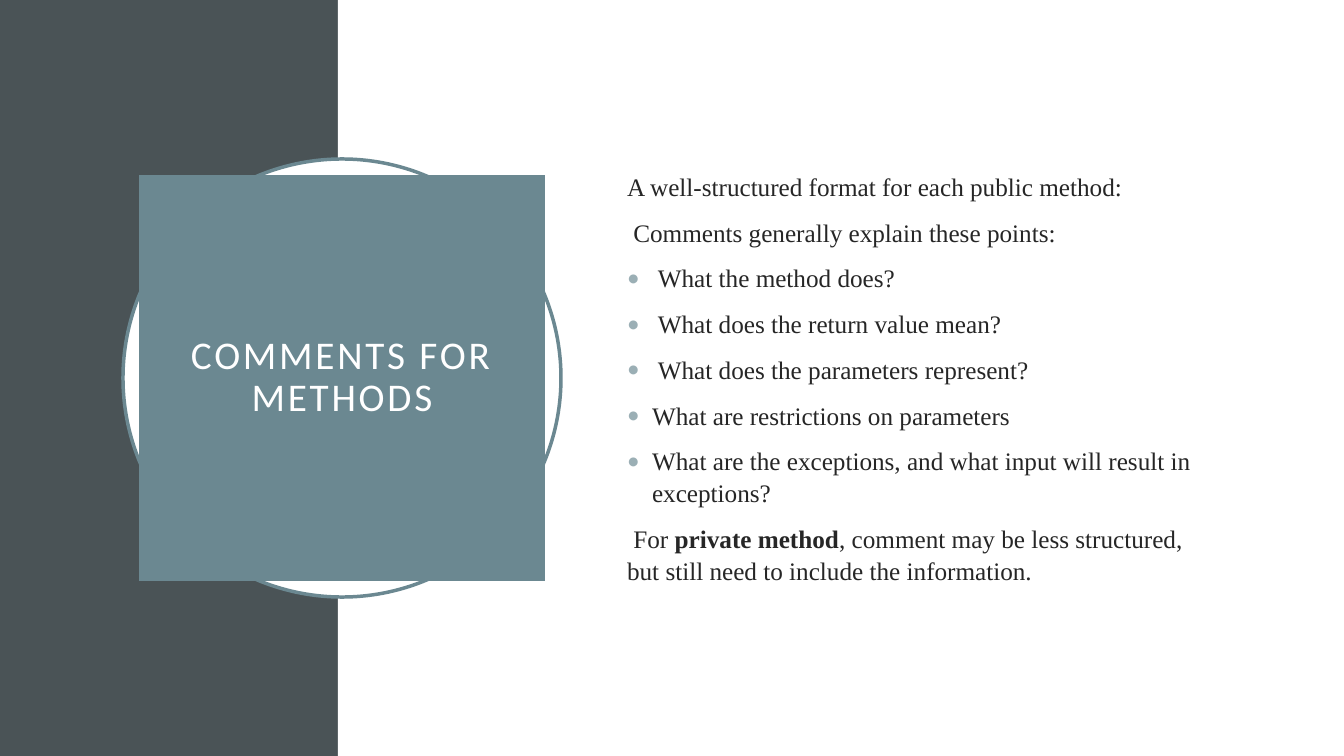
from lxml import etree
from pptx import Presentation
from pptx.dml.color import RGBColor
from pptx.enum import shapes, text
from pptx.oxml import ns
from pptx.util import Emu, Pt

SLATE = RGBColor(0x4A, 0x53, 0x56)
TEAL = RGBColor(0x6B, 0x88, 0x91)
PALE_TEAL = RGBColor(0x9B, 0xAF, 0xB5)
INK = RGBColor(0x26, 0x26, 0x26)
WHITE = RGBColor(0xFF, 0xFF, 0xFF)

WIDTH, HEIGHT, PANEL = 1344, 756, 338

# Each entry: (bulleted, [(words, bold), ...])
POINTS = [
    (False, [("A well-structured format for each public method:", False)]),
    (False, [(" Comments generally explain these points: ", False)]),
    (True, [(" What the method does?", False)]),
    (True, [(" What does the return value mean? ", False)]),
    (True, [(" What does the parameters represent? ", False)]),
    (True, [("What are restrictions on parameters", False)]),
    (True, [("What are the exceptions, and what input will result in exceptions? ", False)]),
    (False, [(" For ", False), ("private method", True),
             (", comment may be less structured, but still need to include the information.", False)]),
]


def px(length):
    return Emu(round(length * 914400 / 100.8))


class SlideBuilder:
    title_font, body_font = "Calibri", "Times New Roman"

    def __init__(self, page):
        self.page = page

    def shape(self, kind, left, top, width, height, fill, line=None):
        shape = self.page.shapes.add_shape(kind, px(left), px(top), px(width), px(height))
        shape.shadow.inherit = False
        shape.fill.solid()
        shape.fill.fore_color.rgb = fill
        if line is None:
            shape.line.fill.background()
        else:
            shape.line.color.rgb = line
            shape.line.width = Pt(2.5)

    def place(self, box, left, top, width, height):
        """Position a placeholder and bring it to the front."""
        box.left, box.top, box.width, box.height = map(px, (left, top, width, height))
        self.page.shapes.element.append(box.element)
        frame = box.text_frame
        frame.word_wrap = True
        frame.auto_size = text.MSO_AUTO_SIZE.NONE
        frame.vertical_anchor = text.MSO_ANCHOR.MIDDLE
        return frame

    def span(self, para, words, font, size, color, bold=False):
        span = para.add_run()
        span.text = words
        span.font.name, span.font.size, span.font.bold = font, Pt(size), bold
        span.font.color.rgb = color
        return span

    def title(self, words, left, top, width, height):
        box = self.page.shapes.title
        frame = self.place(box, left, top, width, height)
        box.fill.solid()
        box.fill.fore_color.rgb = TEAL
        frame.margin_left = frame.margin_right = px(20)
        frame.margin_top = frame.margin_bottom = px(20)
        para = frame.paragraphs[0]
        para.alignment = text.PP_ALIGN.CENTER
        para.line_spacing = 0.9
        span = self.span(para, words, self.title_font, 28, WHITE)
        span._r.get_or_add_rPr().set("spc", "200")

    def bullet(self, para, bulleted):
        props = para._p.get_or_add_pPr()
        indent = px(25) if bulleted else 0
        props.set("marL", str(indent))
        props.set("indent", str(-indent))
        if not bulleted:
            etree.SubElement(props, ns.qn("a:buNone"))
            return
        color = etree.SubElement(props, ns.qn("a:buClr"))
        etree.SubElement(color, ns.qn("a:srgbClr"), val=str(PALE_TEAL))
        etree.SubElement(props, ns.qn("a:buFont"), typeface=self.title_font)
        etree.SubElement(props, ns.qn("a:buChar"), char="•")

    def body(self, points, left, top, width, height):
        frame = self.place(self.page.placeholders[1], left, top, width, height)
        for index, (bulleted, spans) in enumerate(points):
            para = frame.add_paragraph() if index else frame.paragraphs[0]
            self.bullet(para, bulleted)
            para.alignment = text.PP_ALIGN.LEFT
            para.line_spacing = 1.05
            para.space_before = Pt(10 if index else 0)
            for words, bold in spans:
                self.span(para, words, self.body_font, 18, INK, bold)


def main():
    deck = Presentation()
    deck.slide_width, deck.slide_height = px(WIDTH), px(HEIGHT)
    builder = SlideBuilder(deck.slides.add_slide(deck.slide_layouts[1]))

    # Background panels and ring
    rectangle = shapes.MSO_SHAPE.RECTANGLE
    builder.shape(rectangle, 0, 0, PANEL, HEIGHT, SLATE)
    builder.shape(rectangle, PANEL, 0, WIDTH - PANEL, HEIGHT, WHITE)
    builder.shape(shapes.MSO_SHAPE.OVAL, 123, 159, 438, 438, WHITE, TEAL)

    # Title and list
    builder.title("COMMENTS FOR METHODS", 139, 175, 406, 406)
    builder.body(POINTS, 617, 154, 587, 447)

    deck.save("out.pptx")


if __name__ == "__main__":
    main()
